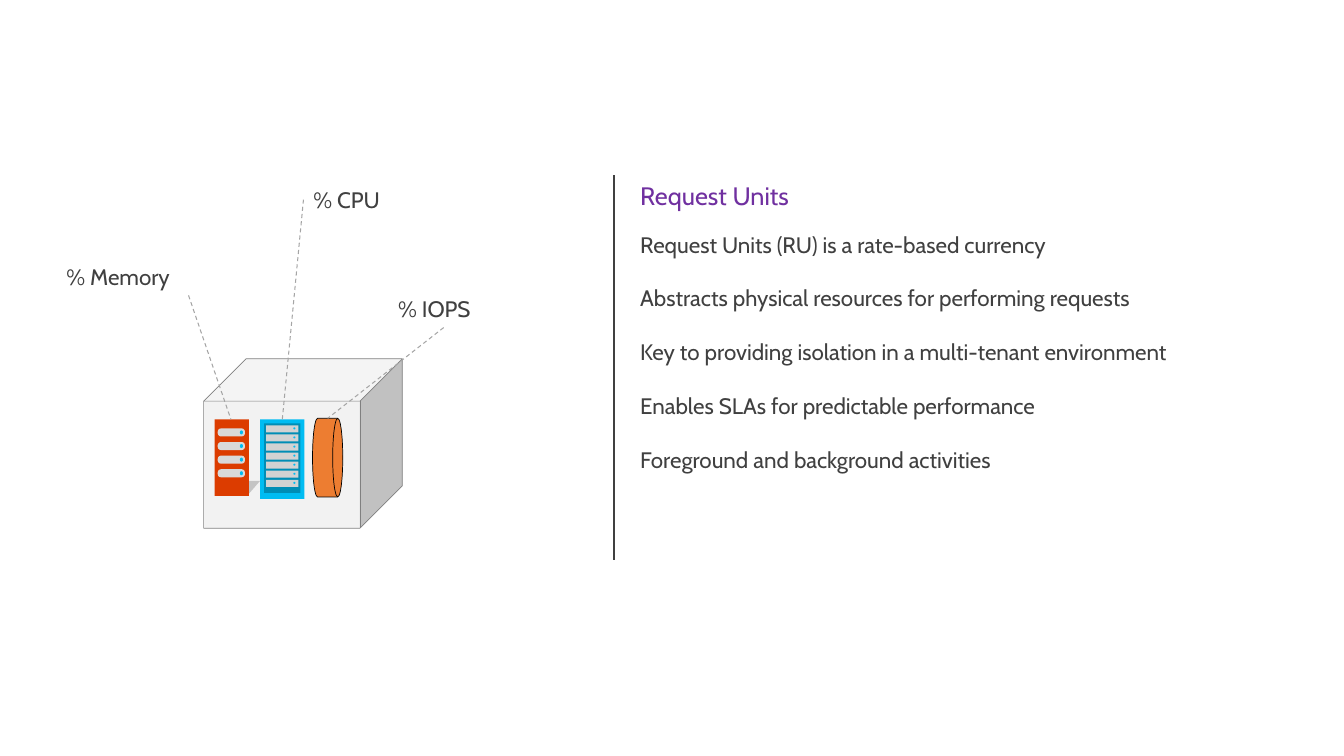
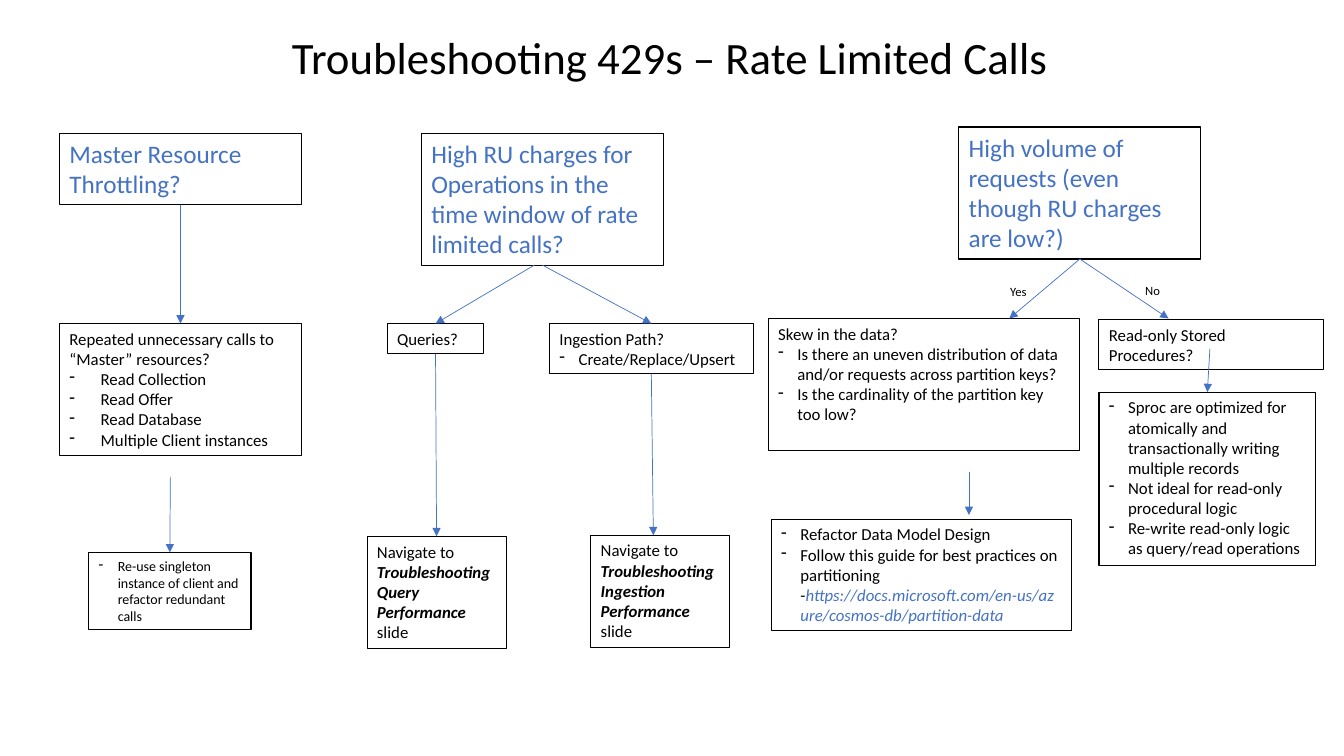
from lxml.etree import SubElement
from pptx import Presentation
from pptx.dml.color import RGBColor
from pptx.enum.dml import MSO_LINE
from pptx.enum.shapes import MSO_CONNECTOR, MSO_SHAPE
from pptx.enum.text import MSO_ANCHOR, MSO_AUTO_SIZE, PP_ALIGN
from pptx.oxml.ns import qn
from pptx.util import Inches, Pt

BLACK = RGBColor(0x00, 0x00, 0x00)
DARK = RGBColor(0x40, 0x40, 0x40)
PURPLE = RGBColor(0x70, 0x30, 0xA0)
BLUE = RGBColor(0x44, 0x72, 0xC4)
DASH_GRAY = RGBColor(0xA5, 0xA5, 0xA5)
CUBE_FILL = RGBColor(0xF2, 0xF2, 0xF2)
CUBE_LINE = RGBColor(0x80, 0x80, 0x80)
SLOT = RGBColor(0xD9, 0xD9, 0xD9)
BLADE = RGBColor(0xD2, 0xD2, 0xD2)
RED = RGBColor(0xDC, 0x3C, 0x00)
CYAN = RGBColor(0x00, 0xBC, 0xF2)
TEAL = RGBColor(0x00, 0x8D, 0xB5)
ORANGE = RGBColor(0xED, 0x7D, 0x31)
CABIN, CALIBRI = "Cabin", "Calibri"
BOTTOM, TOP = 2, 0


# Shared helpers
def inches(*values):
    return [Inches(v) for v in values]


def add_run(p, text, font, size, color, strong=False, italic=False):
    r = p.add_run()
    r.text = text
    r.font.name, r.font.size = font, Pt(size)
    r.font.color.rgb = color
    r.font.bold, r.font.italic = strong, strong or italic


def set_bullet(p, char=None, indent=0):
    pPr = p._p.get_or_add_pPr()
    pPr.set("marL", str(Inches(indent)))
    pPr.set("indent", str(-Inches(indent)))
    if char:
        SubElement(pPr, qn("a:buChar")).set("char", char)
    else:
        SubElement(pPr, qn("a:buNone"))


def prepare(sp, box):
    """Put a text shape in its box and return its text frame."""
    sp.left, sp.top, sp.width, sp.height = inches(*box)
    tf = sp.text_frame
    tf.word_wrap = True
    tf.auto_size = MSO_AUTO_SIZE.NONE
    tf.vertical_anchor = MSO_ANCHOR.TOP
    return tf


def set_title(s, box, text, font, size, color, align):
    p = prepare(s.shapes.title, box).paragraphs[0]
    p.alignment = align
    add_run(p, text, font, size, color)


def add_label(shapes, box, text, font, size, color):
    sp = shapes.add_textbox(*inches(*box))
    add_run(prepare(sp, box).paragraphs[0], text, font, size, color)


def add_line(shapes, start, end, color, width):
    c = shapes.add_connector(MSO_CONNECTOR.STRAIGHT, *inches(*start, *end))
    c.line.color.rgb, c.line.width = color, Pt(width)
    SubElement(c._element.spPr, qn("a:effectLst"))
    return c


def add_block(shapes, kind, box, fill, line=None):
    sp = shapes.add_shape(kind, *inches(*box))
    sp.shadow.inherit = False
    sp.fill.solid()
    sp.fill.fore_color.rgb = fill
    if line:
        sp.line.color.rgb, sp.line.width = line, Pt(0.5)
    else:
        sp.line.fill.background()
    return sp


# Request units: resource box
def memory_icon(shapes, x, y, w, h):
    # Cast shadow
    pen = shapes.build_freeform(*inches(x + 0.16, y + h - 0.15), scale=1.0)
    corners = [(0.45, -0.15), (0.32, 0), (0.03, 0)]
    pen.add_line_segments([inches(x + dx, y + h + dy) for dx, dy in corners])
    shade = pen.convert_to_shape()
    shade.shadow.inherit = False
    shade.fill.solid()
    shade.fill.fore_color.rgb = BLACK
    shade.line.fill.background()
    color = shade._element.spPr.find(".//" + qn("a:srgbClr"))
    SubElement(color, qn("a:alpha")).set("val", "19000")
    # Case and slots
    add_block(shapes, MSO_SHAPE.RECTANGLE, (x, y, w, h), RED)
    for i in range(4):
        top = y + 0.09 + i * 0.135
        slot = add_block(shapes, MSO_SHAPE.ROUNDED_RECTANGLE,
                         (x + 0.03, top, w - 0.07, 0.08), SLOT)
        slot.adjustments[0] = 0.4
        add_block(shapes, MSO_SHAPE.OVAL,
                  (x + w - 0.09, top + 0.02, 0.03, 0.04), CYAN)


def cpu_icon(shapes, x, y, w, h):
    add_block(shapes, MSO_SHAPE.RECTANGLE, (x, y, w, h), CYAN)
    add_block(shapes, MSO_SHAPE.RECTANGLE,
              (x + 0.04, y + 0.04, w - 0.08, h - 0.1), TEAL)
    for i in range(7):
        top = y + 0.06 + i * 0.09
        add_block(shapes, MSO_SHAPE.RECTANGLE,
                  (x + 0.06, top, w - 0.12, 0.07), BLADE)
        add_block(shapes, MSO_SHAPE.OVAL,
                  (x + w - 0.11, top + 0.02, 0.02, 0.02), CYAN)


def resource_cube(s, x, y, w, h):
    shapes = s.shapes.add_group_shape().shapes
    add_block(shapes, MSO_SHAPE.CUBE, (x, y, w, h), CUBE_FILL, CUBE_LINE)
    memory_icon(shapes, x + 0.11, y + 0.6, 0.34, 0.76)
    cpu_icon(shapes, x + 0.56, y + 0.6, 0.44, 0.79)
    add_block(shapes, MSO_SHAPE.FLOWCHART_DIRECT_ACCESS_STORAGE,
              (x + 1.08, y + 0.59, 0.3, 0.78), ORANGE, BLACK)
    # Callouts: text, label offset and width, leader start and end
    callouts = [("% IOPS", 1.83, -0.68, 1.1, (2.38, -0.31), (1.23, 0.59)),
                ("% CPU", 0.99, -1.76, 1.94, (0.99, -1.58), (0.78, 0.6)),
                ("% Memory", -1.46, -1, 2.62, (-0.15, -0.63), (0.27, 0.6))]
    for text, dx, dy, width, start, end in callouts:
        leader = add_line(shapes, (x + start[0], y + start[1]),
                          (x + end[0], y + end[1]), DASH_GRAY, 0.75)
        leader.line.dash_style = MSO_LINE.DASH
        add_label(shapes, (x + dx, y + dy, width, 0.37), text, CABIN, 16, DARK)


def request_panel(s, x, y, w, h):
    add_line(s.shapes, (x, y), (x, y + h), DARK, 1)
    set_title(s, (x + 0.16, y, w, 0.4), "Request Units",
              CABIN, 18, PURPLE, PP_ALIGN.LEFT)
    tf = prepare(s.placeholders[1], (x + 0.16, y + 0.5, w, 2.79))
    points = ["Request Units (RU) is a rate-based currency",
              "Abstracts physical resources for performing requests",
              "Key to providing isolation in a multi-tenant environment",
              "Enables SLAs for predictable performance",
              "Foreground and background activities"]
    for i, text in enumerate(points):
        p = tf.add_paragraph() if i else tf.paragraphs[0]
        set_bullet(p)
        p.space_before = Pt(19.2 if i else 0)
        add_run(p, text, CABIN, 16, DARK)


def request_units(prs):
    s = prs.slides.add_slide(prs.slide_layouts[1])
    resource_cube(s, 2.02, 3.56, 1.97, 1.68)
    request_panel(s, 6.09, 1.74, 6.27, 3.82)


# Troubleshooting: decision branches
def add_node(s, box, size, paragraphs, indent=0.19):
    """Framed text; a paragraph led by "- " becomes a dashed item."""
    sp = s.shapes.add_textbox(*inches(*box))
    sp.line.color.rgb, sp.line.width = BLACK, Pt(0.75)
    tf = prepare(sp, box)
    color = BLUE if size == 18 else BLACK
    for i, text in enumerate(paragraphs):
        p = tf.add_paragraph() if i else tf.paragraphs[0]
        if text.startswith("- "):
            set_bullet(p, "-", indent)
            text = text[2:]
        # Parts between bars alternate between plain and strong
        for j, part in enumerate(text.split("|")):
            plain, mark, address = part.partition("https://")
            add_run(p, plain, CALIBRI, size, color, strong=j % 2 == 1)
            if mark:
                add_run(p, mark + address, CALIBRI, size, BLUE, italic=True)
    return sp


def branch(s, x, y, nodes, arrows, labels=()):
    """Arrow ends are node names, which join, or offsets from x, y."""
    made = {}
    for name, (dx, dy, w, h), *content in nodes:
        made[name] = add_node(s, (x + dx, y + dy, w, h), *content)
    for start, end in arrows:
        points = [(x, y) if e in made else (x + e[0], y + e[1])
                  for e in (start, end)]
        c = add_line(s.shapes, *points, BLUE, 0.5)
        tail = SubElement(c.line._get_or_add_ln(), qn("a:tailEnd"))
        tail.set("type", "triangle")
        if start in made:
            c.begin_connect(made[start], BOTTOM)
        if end in made:
            c.end_connect(made[end], TOP)
    for text, dx, dy in labels:
        add_label(s.shapes, (x + dx, y + dy, 0.38, 0.25),
                  text, CALIBRI, 9, BLACK)


def master_branch(s, x, y):
    branch(s, x, y, [
        ("question", (0, 0, 2.4, 0.71), 18, ["Master Resource Throttling?"]),
        ("calls", (0, 1.89, 2.4, 1.31), 12,
         ["Repeated unnecessary calls to “Master” resources?",
          "- Read Collection", "- Read Offer", "- Read Database",
          "- Multiple Client instances"], 0.31),
        ("fix", (0.29, 4.16, 1.61, 0.77), 10,
         ["- Re-use singleton instance of client and refactor redundant calls"]),
    ], [("question", "calls"), ((1.1, 3.41), "fix")])


def charges_branch(s, x, y):
    branch(s, x, y, [
        ("question", (0.54, 0, 2.4, 1.31), 18,
         ["High RU charges for Operations in the time window of rate "
          "limited calls?"]),
        ("queries", (0.2, 1.89, 0.96, 0.3), 12, ["Queries?"]),
        ("ingestion", (1.81, 1.89, 2.02, 0.5), 12,
         ["Ingestion Path?", "- Create/Replace/Upsert"]),
        ("query slide", (0, 4, 1.38, 1.11), 12,
         ["Navigate to |Troubleshooting Query Performance |slide"]),
        ("ingestion slide", (2.22, 3.99, 1.38, 1.11), 12,
         ["Navigate to |Troubleshooting Ingestion Performance |slide"]),
    ], [((1.66, 1.31), "queries"), ("question", "ingestion"),
        ("ingestion", (2.84, 3.99)), ("queries", "query slide")])


def volume_branch(s, x, y):
    branch(s, x, y, [
        ("question", (1.89, 0, 2.4, 1.31), 18,
         ["High volume of requests (even though RU charges are low?)"]),
        ("skew", (0, 1.9, 3.09, 1.31), 12,
         ["Skew in the data?",
          "- Is there an uneven distribution of data and/or requests "
          "across partition keys?",
          "- Is the cardinality of the partition key too low?"]),
        ("refactor", (0.03, 3.89, 2.98, 1.11), 12,
         ["- Refactor Data Model Design",
          "- Follow this guide for best practices on partitioning -"
          "https://docs.microsoft.com/en-us/azure/cosmos-db/partition-data"]),
        ("procedures", (3.28, 1.91, 2.23, 0.5), 12,
         ["Read-only Stored Procedures?"]),
        ("sproc", (3.28, 2.63, 2.15, 1.72), 12,
         ["- Sproc are optimized for atomically and transactionally writing "
          "multiple records",
          "- Not ideal for read-only procedural logic",
          "- Re-write read-only logic as query/read operations"]),
    ], [("question", (2.39, 1.9)), ("question", (3.97, 1.9)),
        ((1.99, 3.42), (1.99, 3.85)), ((4.38, 2.2), "sproc")],
        [("Yes", 2.3, 1.51), ("No", 3.64, 1.5)])


def troubleshooting(prs):
    s = prs.slides.add_slide(prs.slide_layouts[5])
    set_title(s, (0.76, 0.24, 11.77, 0.64),
              "Troubleshooting 429s – Rate Limited Calls",
              CALIBRI, 32, BLACK, PP_ALIGN.CENTER)
    master_branch(s, 0.59, 1.32)
    charges_branch(s, 3.64, 1.32)
    volume_branch(s, 7.62, 1.26)


def main():
    prs = Presentation()
    prs.slide_width, prs.slide_height = inches(13.33, 7.5)
    request_units(prs)
    troubleshooting(prs)
    prs.save("out.pptx")


if __name__ == "__main__":
    main()
